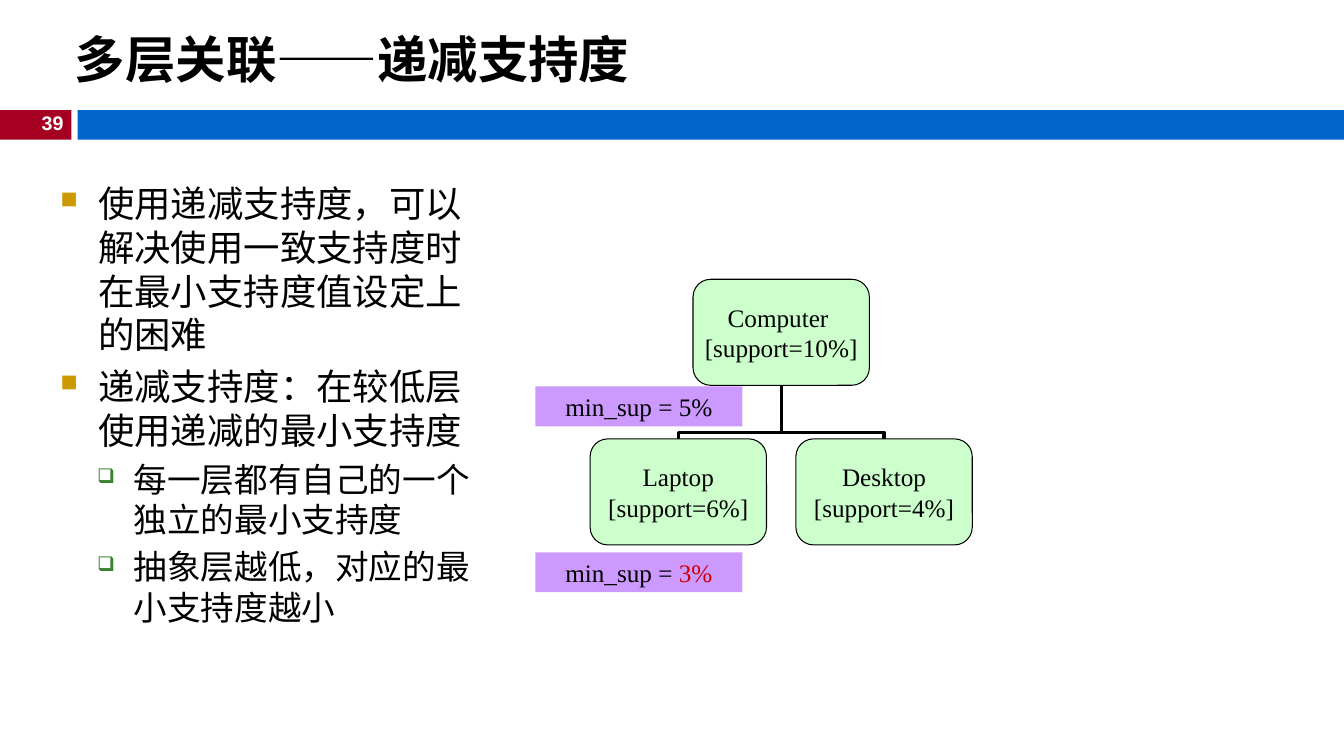
from dataclasses import dataclass

from lxml import etree
from pptx import Presentation
from pptx import util as u
from pptx.dml.color import RGBColor
from pptx.enum import shapes, text
from pptx.oxml.ns import qn

EMU_PER_PX = 9525
SLIDE_WIDTH, SLIDE_HEIGHT = 1280, 720
BAND_TOP, BAND_HEIGHT = 105, 28
NODE_WIDTH, NODE_HEIGHT = 168, 101
LABEL_WIDTH, LABEL_HEIGHT = 197, 38
COLORS = {
    "black": "000000", "white": "FFFFFF", "crimson": "A50021", "blue": "0066CC",
    "gold": "CC9900", "green": "3B812F", "mint": "CCFFCC", "violet": "CC99FF",
    "red": "CC0000",
}


@dataclass
class Bullet:
    char: str
    color: str
    percent: int
    margin: int
    hanging: int
    size: int
    space_before: int
    level: int


@dataclass
class Node:
    name: str
    support: str
    left: int
    top: int

    @property
    def center(self) -> int:
        return self.left + NODE_WIDTH // 2


@dataclass
class Threshold:
    value: str
    color: str
    left: int
    top: int


MAIN = Bullet("■", "gold", 65, 36, 36, 26, 6, 0)
SUB = Bullet("❑", "green", 60, 70, 35, 24, 5, 1)
POINTS = [
    (MAIN, "使用递减支持度，可以解决使用一致支持度时在最小支持度值设定上的困难"),
    (MAIN, "递减支持度：在较低层使用递减的最小支持度"),
    (SUB, "每一层都有自己的一个独立的最小支持度"),
    (SUB, "抽象层越低，对应的最小支持度越小"),
]
PARENT = Node("Computer ", "[support=10%]", 660, 266)
CHILDREN = [
    Node("Laptop", "[support=6%]", 562, 418),
    Node("Desktop", "[support=4%]", 758, 418),
]
THRESHOLDS = [Threshold("5%", "black", 510, 368), Threshold("3%", "red", 510, 526)]


def px(length: float) -> int:
    return u.Emu(round(length * EMU_PER_PX))


def rgb(name: str) -> RGBColor:
    return RGBColor.from_string(COLORS[name])


def set_font(paragraph, size: int, name: str, color: str = "black", bold: bool = False) -> None:
    font = paragraph.font
    font.size, font.name, font.bold = u.Pt(size), name, bold
    font.color.rgb = rgb(color)


def add_box(slide, kind, left: int, top: int, width: int, height: int, fill: str):
    shape = slide.shapes.add_shape(kind, px(left), px(top), px(width), px(height))
    shape.shadow.inherit = False
    shape.fill.solid()
    shape.fill.fore_color.rgb = rgb(fill)
    shape.line.fill.background()
    return shape


def add_text(slide, left: int, top: int, width: int, height: int, wrap: bool = True):
    box = slide.shapes.add_textbox(px(left), px(top), px(width), px(height))
    box.text_frame.word_wrap = wrap
    return box.text_frame


def set_bullet(paragraph, bullet: Bullet) -> None:
    paragraph.level = bullet.level
    properties = paragraph._p.get_or_add_pPr()
    properties.set("marL", str(px(bullet.margin)))
    properties.set("indent", str(px(-bullet.hanging)))
    color = etree.SubElement(properties, qn("a:buClr"))
    etree.SubElement(color, qn("a:srgbClr"), val=COLORS[bullet.color])
    etree.SubElement(properties, qn("a:buSzPct"), val=str(bullet.percent * 1000))
    etree.SubElement(properties, qn("a:buChar"), char=bullet.char)


def add_branch(slide, child: Node, parent: Node) -> None:
    """Elbow from the top of a child up to the bottom of its parent."""
    parent_bottom = parent.top + NODE_HEIGHT
    rise, run = child.top - parent_bottom, abs(parent.center - child.center)
    middle_x = (child.center + parent.center) / 2
    middle_y = (child.top + parent_bottom) / 2
    # The elbow is laid out sideways, then turned upright about its middle.
    side = 1 if child.center > parent.center else -1
    begin_x, end_x = middle_x + side * rise / 2, middle_x - side * rise / 2
    connector = slide.shapes.add_connector(
        shapes.MSO_CONNECTOR.ELBOW,
        px(begin_x), px(middle_y - run / 2), px(end_x), px(middle_y + run / 2))
    connector.line.color.rgb = rgb("black")
    connector.line.width = u.Pt(2.25)
    properties = connector._element.spPr
    etree.SubElement(properties, qn("a:effectLst"))
    properties.find(qn("a:xfrm")).set("rot", str((90 if side > 0 else 270) * 60000))
    adjustments = properties.find(qn("a:prstGeom")).get_or_add_avLst()
    etree.SubElement(adjustments, qn("a:gd"), name="adj1", fmla="val 12600")


def add_node(slide, node: Node) -> None:
    shape = add_box(slide, shapes.MSO_SHAPE.ROUNDED_RECTANGLE, node.left, node.top,
                    NODE_WIDTH, NODE_HEIGHT, "mint")
    shape.line.color.rgb = rgb("black")
    shape.line.width = u.Pt(0.75)
    frame = shape.text_frame
    frame.margin_left = frame.margin_right = frame.margin_top = frame.margin_bottom = 0
    frame.word_wrap = False
    frame.vertical_anchor = text.MSO_ANCHOR.MIDDLE
    frame.text = f"{node.name}\n{node.support}"
    for paragraph in frame.paragraphs:
        paragraph.alignment = text.PP_ALIGN.CENTER
        set_font(paragraph, 18, "Times New Roman")


def add_threshold(slide, threshold: Threshold) -> None:
    shape = add_box(slide, shapes.MSO_SHAPE.RECTANGLE, threshold.left, threshold.top,
                    LABEL_WIDTH, LABEL_HEIGHT, "violet")
    paragraph = shape.text_frame.paragraphs[0]
    paragraph.alignment = text.PP_ALIGN.CENTER
    set_font(paragraph, 18, "Times New Roman")
    for words, color in (("min_sup = ", "black"), (threshold.value, threshold.color)):
        run = paragraph.add_run()
        run.text = words
        run.font.color.rgb = rgb(color)


def main() -> None:
    presentation = Presentation()
    presentation.slide_width, presentation.slide_height = px(SLIDE_WIDTH), px(SLIDE_HEIGHT)
    slide = presentation.slides.add_slide(presentation.slide_layouts[6])

    # Header band and page number
    for left, width, fill in ((0, 68, "crimson"), (74, SLIDE_WIDTH - 74, "blue")):
        add_box(slide, shapes.MSO_SHAPE.RECTANGLE, left, BAND_TOP, width, BAND_HEIGHT, fill)
    number = add_text(slide, 28, 101, 42, 33, wrap=False).paragraphs[0]
    number.text = "39"
    number.alignment = text.PP_ALIGN.RIGHT
    set_font(number, 14, "Arial", "white", bold=True)

    # Title
    title = add_text(slide, 62, 11, 916, 90)
    title.vertical_anchor = text.MSO_ANCHOR.MIDDLE
    title.text = "多层关联——递减支持度"
    set_font(title.paragraphs[0], 36, "Arial", bold=True)

    # Bullet points
    body = add_text(slide, 48, 168, 424, 475)
    body.text = "\n".join(words for _, words in POINTS)
    for index, (paragraph, (bullet, _)) in enumerate(zip(body.paragraphs, POINTS)):
        set_bullet(paragraph, bullet)
        paragraph.space_before = u.Pt(bullet.space_before if index else 0)
        set_font(paragraph, bullet.size, "Arial")

    # Concept tree with its support thresholds
    for child in CHILDREN:
        add_branch(slide, child, PARENT)
    for node in (PARENT, *CHILDREN):
        add_node(slide, node)
    for threshold in THRESHOLDS:
        add_threshold(slide, threshold)

    presentation.save("out.pptx")


if __name__ == "__main__":
    main()
